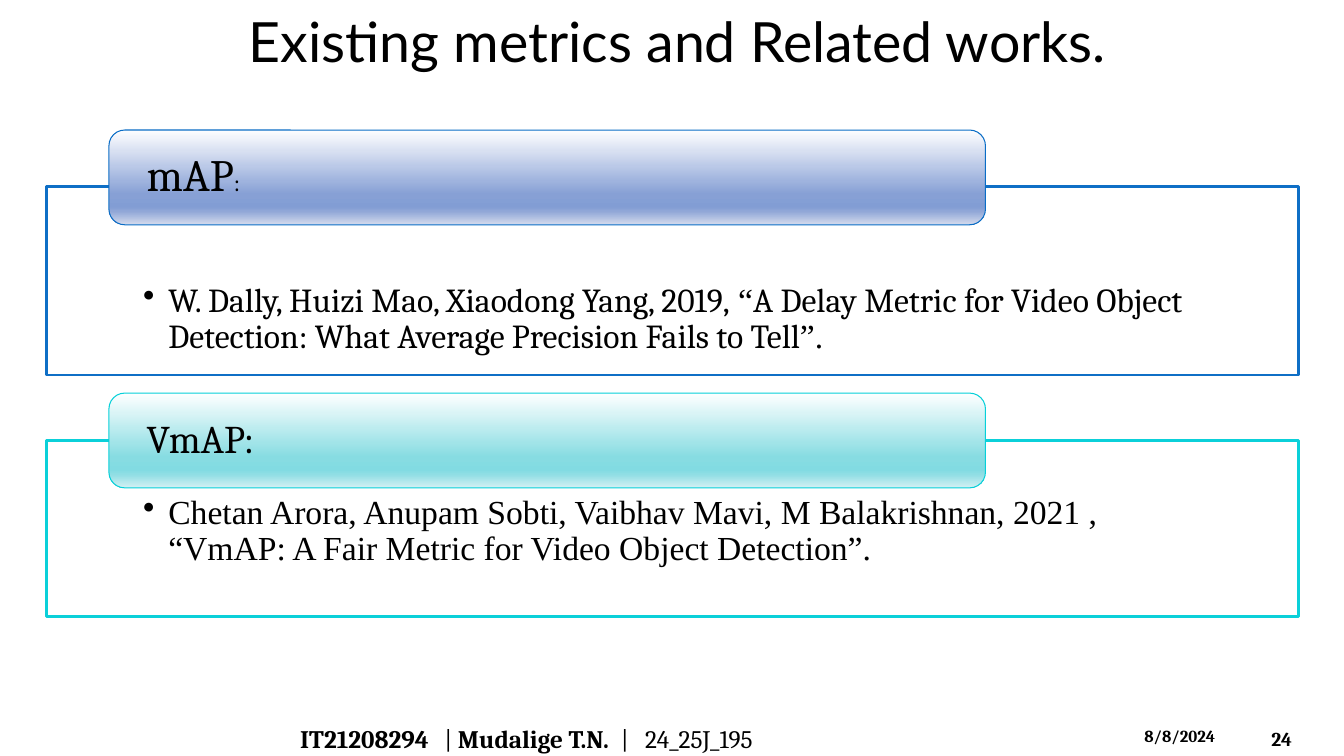
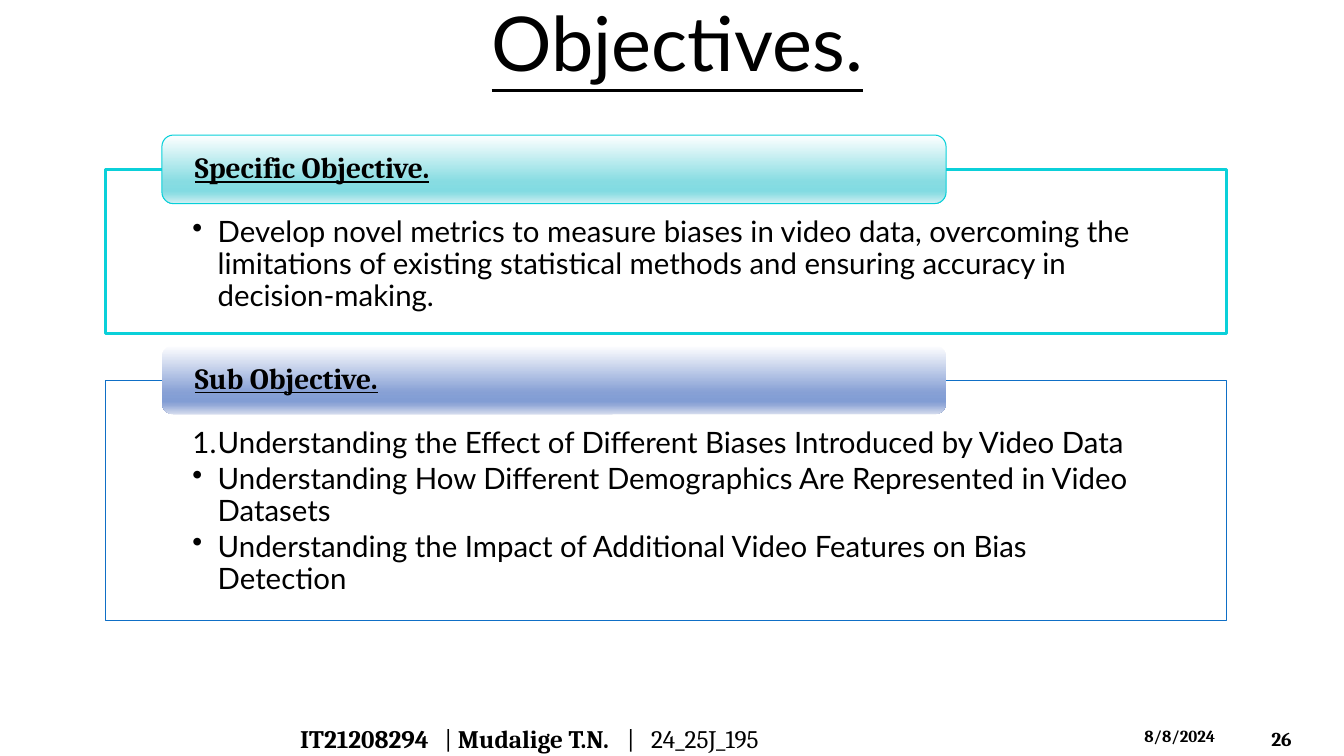
"""Build two slides of captioned panels: related works and objectives."""
import lxml.etree
import pptx
import pptx.dml.color
import pptx.enum.shapes
import pptx.enum.text
import pptx.oxml.ns
import pptx.util

COLORS = {"ink": "000000", "paper": "FFFFFF", "blue": "0F6FC6", "cyan": "0BD0D9"}
BAR_LINES = {"blue": "0A6DC6", "cyan": "06D0D9"}
GRADIENT_POSITIONS = (0, 68, 81, 86, 100)
GRADIENTS = {
    "blue": ("FEFEFF", "87A0D5", "829DD4", "91A7D7", "D4DBED"),
    "cyan": ("FEFFFF", "87DCE2", "82DBE2", "90DEE4", "D3F0F3"),
}
SERIF, SANS, ROMAN = "Cambria", "Lato", "Times New Roman"
POINTS_PER_INCH = 72
MIDDLE = pptx.enum.text.MSO_ANCHOR.MIDDLE
TOP = pptx.enum.text.MSO_ANCHOR.TOP


def rgb(value):
    return pptx.dml.color.RGBColor.from_string(value)


def add_element(parent, tag, **attributes):
    return lxml.etree.SubElement(parent, pptx.oxml.ns.qn(tag), **attributes)


def add_span(para, text, size=18, font=SERIF, bold=False, underline=False, color="ink"):
    span = para.add_run()
    span.text = text
    span.font.size = pptx.util.Pt(size)
    span.font.name = font
    span.font.bold = bold
    span.font.underline = underline
    span.font.color.rgb = rgb(COLORS[color])


class PanelDeck:
    def __init__(self, width, height):
        self.deck = pptx.Presentation()
        self.deck.slide_width = pptx.util.Inches(width)
        self.deck.slide_height = pptx.util.Inches(height)
        self.page = None

    def across(self, percent):
        return round(self.deck.slide_width * percent / 100)

    def down(self, percent):
        return round(self.deck.slide_height * percent / 100)

    def area(self, left, top, width, height):
        return self.across(left), self.down(top), self.across(width), self.down(height)

    def frame(self, box, anchor, side=0, top=0):
        frame = box.text_frame
        frame.word_wrap = True
        frame.auto_size = pptx.enum.text.MSO_AUTO_SIZE.NONE
        frame.vertical_anchor = anchor
        frame.margin_left = frame.margin_right = side
        frame.margin_top, frame.margin_bottom = top, 0
        return frame

    def add_page(self, title, size, underline=False):
        self.page = self.deck.slides.add_slide(self.deck.slide_layouts[5])
        box = self.page.shapes.title
        box.left, box.top, box.width, box.height = self.area(2.5, 0, 95.8, 10.8)
        para = self.frame(box, MIDDLE).paragraphs[0]
        para.alignment = pptx.enum.text.PP_ALIGN.CENTER
        add_span(para, title, size=size, font=SANS, underline=underline)

    def add_label(self, area, anchor=MIDDLE):
        box = self.page.shapes.add_textbox(*self.area(*area))
        inset = pptx.util.Inches(0.1)
        return self.frame(box, anchor, inset, inset // 2).paragraphs[0]

    def add_footer(self, number, shift=0):
        author = self.add_label((21.6, 94.67, 55.9, 5.33))
        tabs = add_element(author._p.get_or_add_pPr(), "a:tabLst")
        for stop in (1.43, 3.18 + shift, 3.42 + shift):
            add_element(tabs, "a:tab", pos=str(pptx.util.Inches(stop)), algn="l")
        add_span(author, "IT21208294", bold=True)
        add_span(author, "\t| ")
        add_span(author, "Mudalige T.N.", bold=True)
        add_span(author, "\t|\t24_25J_195")
        date = self.add_label((84.4, 95.33, 8.78, 4), TOP)
        add_span(date, "8/8/2024", size=12, bold=True)
        page_number = self.add_label((93.85, 94.67, 5.55, 5.33))
        add_span(page_number, number, size=14, bold=True)

    def add_box(self, kind, area, line, weight):
        box = self.page.shapes.add_shape(kind, *self.area(*area))
        box.shadow.inherit = False
        box.fill.solid()
        box.fill.fore_color.rgb = rgb(COLORS["paper"])
        if line:
            box.line.color.rgb = rgb(line)
            box.line.width = pptx.util.Pt(weight)
        else:
            box.line.fill.background()
        return box

    def add_panel(self, area, color, items, size, weight=2, text_top=None):
        box = self.add_box(pptx.enum.shapes.MSO_SHAPE.RECTANGLE, area, COLORS[color], weight)
        top = text_top or size * 1.64 / POINTS_PER_INCH
        frame = self.frame(box, TOP, self.across(area[2] * 0.0773), pptx.util.Inches(top))
        indent = pptx.util.Inches(0.25)
        for index, (marker, spans) in enumerate(items):
            para = frame.add_paragraph() if index else frame.paragraphs[0]
            para.alignment = pptx.enum.text.PP_ALIGN.LEFT
            para.line_spacing = 0.9
            para.space_after = pptx.util.Pt(round(size * 0.15))
            properties = para._p.get_or_add_pPr()
            properties.set("marL", str(indent))
            properties.set("indent", str(-indent))
            if marker == "•":
                add_element(properties, "a:buChar", char=marker)
            else:
                add_element(properties, "a:buAutoNum", type="arabicPeriod")
            for text, font in spans:
                add_span(para, text, size=size, font=font)

    def add_bar(self, panel, top, height, color, spans, outlined=True, **style):
        left, _, width, _ = panel
        area = (left + width * 0.05, top, width * 0.7, height)
        line = BAR_LINES[color] if outlined else None
        box = self.add_box(pptx.enum.shapes.MSO_SHAPE.ROUNDED_RECTANGLE, area, line, 0.75)
        box.fill.gradient()
        box.fill.gradient_angle = 270
        stops = box._element.spPr.find(".//" + pptx.oxml.ns.qn("a:gsLst"))
        for stop in list(stops):
            stops.remove(stop)
        for position, shade in zip(GRADIENT_POSITIONS, GRADIENTS[color]):
            stop = add_element(stops, "a:gs", pos=str(position * 1000))
            add_element(stop, "a:srgbClr", val=shade)
        para = self.frame(box, MIDDLE, self.across(width * 0.0265)).paragraphs[0]
        para.alignment = pptx.enum.text.PP_ALIGN.LEFT
        para.line_spacing = 0.9
        for text, size in spans:
            add_span(para, text, size=size, **style)


def add_related_works(show):
    show.add_page("Existing metrics and Related works.", 39.6)
    show.add_footer("24")
    left, width, bar_height = 3.45, 93.17, 12.53
    panel = (left, 24.67, width, 24.93)
    citation = [
        ("W. Dally, Huizi Mao, Xiaodong Yang, 2019,", SERIF),
        (" “", ROMAN),
        ("A Delay Metric for Video Object Detection: What Average Precision Fails to Tell", SERIF),
        ("”.", ROMAN),
    ]
    show.add_panel(panel, "blue", [("•", citation)], 24, text_top=0.96)
    show.add_bar(panel, 17.2, bar_height, "blue", [("mAP", 32), (":", 17)])
    panel = (left, 58.27, width, 23.33)
    citation = [("Chetan Arora, Anupam Sobti, Vaibhav Mavi, M Balakrishnan, 2021 , "
                 "“VmAP: A Fair Metric for Video Object Detection”.", ROMAN)]
    show.add_panel(panel, "cyan", [("•", citation)], 24)
    show.add_bar(panel, 52, bar_height, "cyan", [("VmAP:", 28)])


def add_objectives(show):
    show.add_page("Objectives.", 54, underline=True)
    show.add_footer("26", shift=0.06)
    left, width, bar_height, size = 7.88, 83.35, 9.07, 21
    heading = {"bold": True, "underline": True}
    panel = (left, 22.4, width, 21.73)
    goal = ("Develop novel metrics to measure biases in video data, overcoming the limitations of "
            "existing statistical methods and ensuring accuracy in decision-making.")
    show.add_panel(panel, "cyan", [("•", [(goal, SANS)])], size)
    show.add_bar(panel, 17.87, bar_height, "cyan", [("Specific Objective.", size)], **heading)
    panel = (left, 50.27, width, 31.87)
    goals = (
        ("1.", "Understanding the Effect of Different Biases Introduced by Video Data"),
        ("•", "Understanding How Different Demographics Are Represented in Video Datasets"),
        ("•", "Understanding the Impact of Additional Video Features on Bias Detection"),
    )
    items = [(marker, [(text, SANS)]) for marker, text in goals]
    show.add_panel(panel, "blue", items, size, weight=0.75)
    show.add_bar(panel, 45.73, bar_height, "blue", [("Sub Objective.", size)],
                 outlined=False, **heading)


def main():
    show = PanelDeck(13.33, 7.5)
    add_related_works(show)
    add_objectives(show)
    show.deck.save("out.pptx")


if __name__ == "__main__":
    main()
